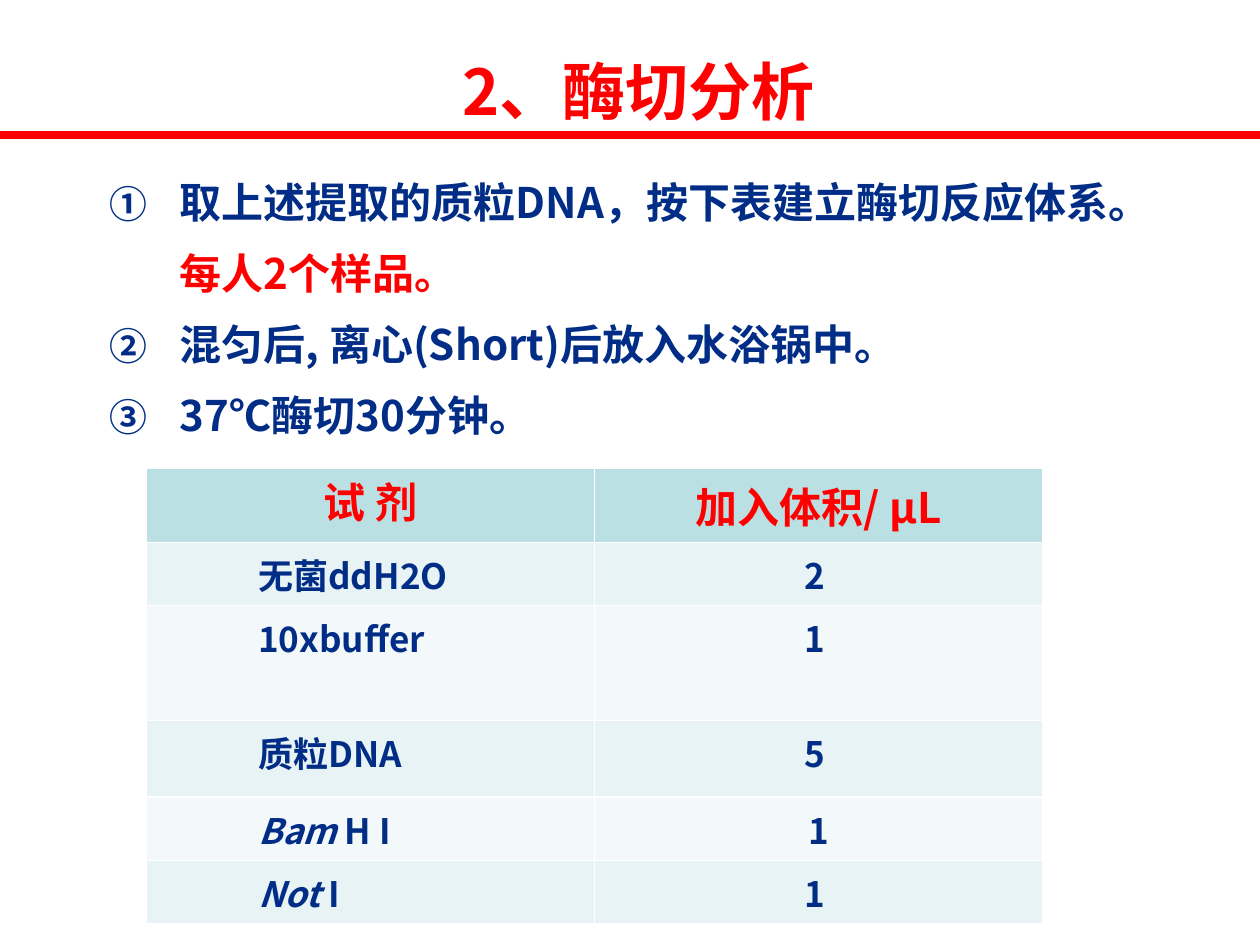
from dataclasses import dataclass

from lxml.etree import SubElement
from pptx import Presentation
from pptx.dml.color import RGBColor
from pptx.enum.shapes import MSO_CONNECTOR
from pptx.enum.text import MSO_ANCHOR, PP_ALIGN
from pptx.oxml.ns import qn
from pptx.util import Inches, Pt


@dataclass(frozen=True)
class Theme:
    font: str = "Noto Sans CJK SC"
    red: tuple = ("FF0000",)
    navy: tuple = ("012D86", "0E2557")
    header_fill: str = "BBE0E3"
    band_fills: tuple = ("E7F3F4", "F3F9FA")
    title: int = 36
    body: int = 24
    cell: int = 20


theme = Theme()


def style_run(r, size, colors, italic=False):
    """Format a run; two colours make a horizontal gradient."""
    font = r.font
    font.size, font.bold, font.italic = Pt(size), True, italic
    font.name = theme.font
    if len(colors) == 1:
        font.fill.solid()
        font.fill.fore_color.rgb = RGBColor.from_string(colors[0])
    else:
        font.fill.gradient()
        font.fill.gradient_angle = 0
        for stop, color in zip(font.fill.gradient_stops, colors):
            stop.color.rgb = RGBColor.from_string(color)
    SubElement(r._r.get_or_add_rPr(), qn("a:ea"), typeface=theme.font)


def add_run(p, text, size, colors, italic=False):
    r = p.add_run()
    r.text = text
    style_run(r, size, colors, italic)


prs = Presentation()
prs.slide_width, prs.slide_height = Inches(10), Inches(7.5)
s = prs.slides.add_slide(prs.slide_layouts[5])

# Rule under the title
rule = s.shapes.add_connector(
    MSO_CONNECTOR.STRAIGHT, Inches(0), Inches(1.07), Inches(10), Inches(1.07))
rule.line.color.rgb = RGBColor.from_string(theme.red[0])
rule.line.width = Pt(4.5)
SubElement(rule._element.spPr, qn("a:effectLst"))

# Title
title = s.shapes.title
title.left, title.top = Inches(0.57), Inches(0.09)
title.width, title.height = Inches(9), Inches(1.25)
title.text_frame.text = "2、酶切分析"
title.text_frame.vertical_anchor = MSO_ANCHOR.MIDDLE
p = title.text_frame.paragraphs[0]
p.alignment = PP_ALIGN.CENTER
style_run(p.runs[0], theme.title, theme.red)

# Reagent table: (italic part, upright part), volume
headers = ["试 剂", "加入体积/ µL"]
reagents = [
    ("", "无菌ddH2O", "2 "),
    ("", "10xbuffer", "1 "),
    ("", "质粒DNA", "5 "),
    ("Bam ", "H I", "1"),
    ("Not ", "I", "1 "),
]
row_heights = [0.58, 0.5, 0.91, 0.61, 0.5, 0.5]
table = s.shapes.add_table(
    len(row_heights), 2, Inches(1.16), Inches(3.72),
    Inches(7.12), Inches(sum(row_heights))).table
for row, height in zip(table.rows, row_heights):
    row.height = Inches(height)

for col, text in enumerate(headers):
    p = table.cell(0, col).text_frame.paragraphs[0]
    p.alignment = PP_ALIGN.CENTER
    add_run(p, text, theme.body, theme.red)
table.cell(0, 0).text_frame.paragraphs[0].line_spacing = 0.9

for i, (italic, upright, volume) in enumerate(reagents, start=1):
    p = table.cell(i, 0).text_frame.paragraphs[0]
    p._p.get_or_add_pPr().set("marL", str(Inches(0.79)))
    if italic:
        add_run(p, italic, theme.cell, theme.navy, italic=True)
    add_run(p, upright, theme.cell, theme.navy)
    p = table.cell(i, 1).text_frame.paragraphs[0]
    p.alignment = PP_ALIGN.CENTER
    add_run(p, volume, theme.cell, theme.navy)

for i, row in enumerate(table.rows):
    fill = theme.band_fills[(i - 1) % 2] if i else theme.header_fill
    for cell in row.cells:
        cell.fill.solid()
        cell.fill.fore_color.rgb = RGBColor.from_string(fill)

# Numbered steps
steps = [
    [("取上述提取的质粒DNA，按下表建立酶切反应体系。", theme.navy),
     ("每人2个样品。", theme.red)],
    [("混匀后, 离心(Short)后放入水浴锅中。", theme.navy)],
    [("37℃酶切30分钟。", theme.navy)],
]
tf = s.shapes.add_textbox(
    Inches(0.77), Inches(1.19), Inches(8.4), Inches(2.4)).text_frame
tf.word_wrap = True
for i, step in enumerate(steps):
    p = tf.add_paragraph() if i else tf.paragraphs[0]
    p.line_spacing = Pt(40.6)
    pPr = p._p.get_or_add_pPr()
    pPr.set("marL", str(Inches(0.56)))
    pPr.set("indent", str(-Inches(0.56)))
    SubElement(pPr, qn("a:buSzPct"), val="90000")
    SubElement(pPr, qn("a:buAutoNum"), type="circleNumDbPlain")
    for text, colors in step:
        add_run(p, text, theme.body, colors)

prs.save("out.pptx")
